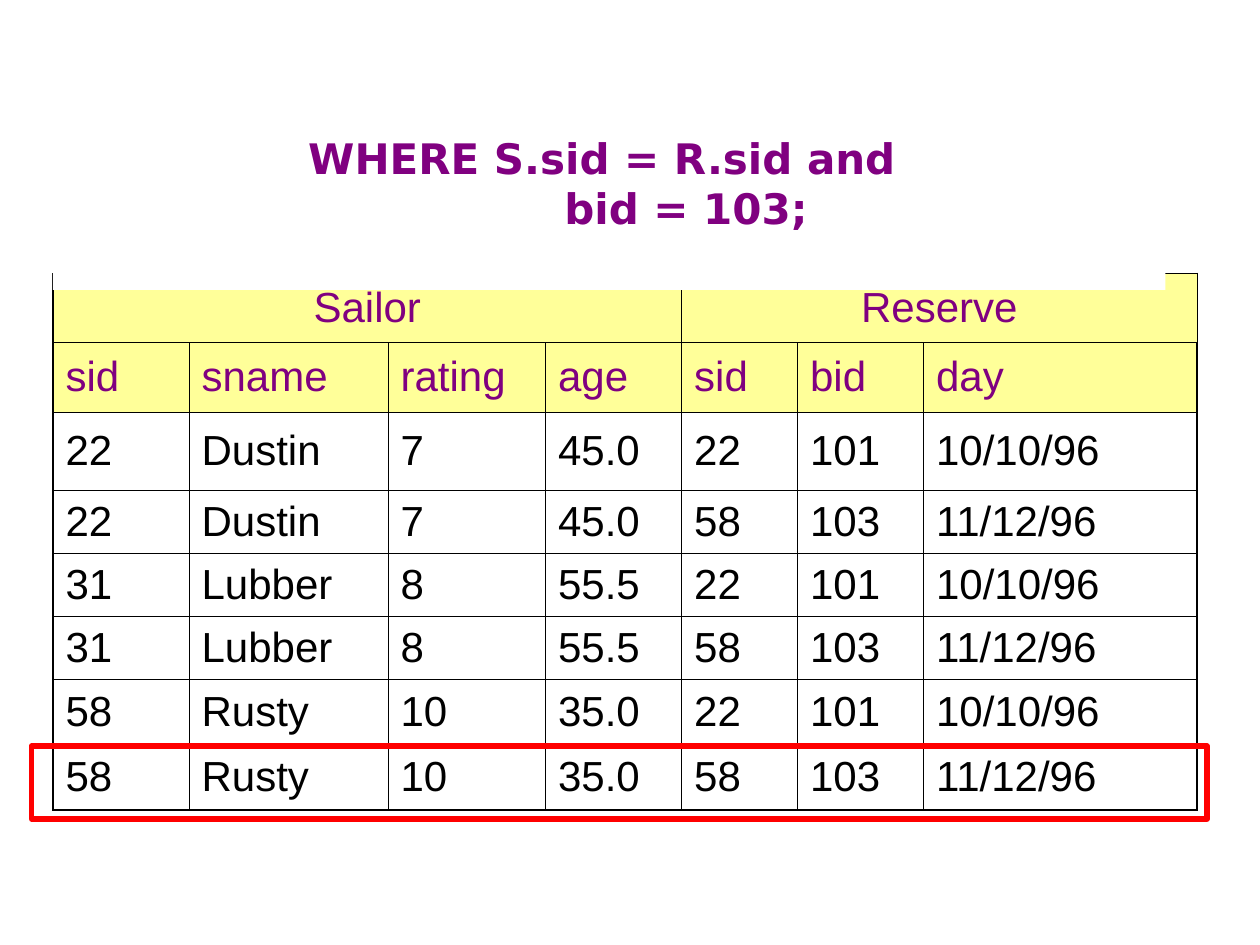
from lxml import etree
from pptx import Presentation
from pptx.dml.color import RGBColor
from pptx.enum.shapes import MSO_SHAPE
from pptx.enum.text import MSO_ANCHOR, MSO_AUTO_SIZE, PP_ALIGN
from pptx.oxml.ns import qn
from pptx.util import Inches, Pt

RECTANGLE = MSO_SHAPE.RECTANGLE
TOP, MIDDLE = MSO_ANCHOR.TOP, MSO_ANCHOR.MIDDLE
LEFT, CENTER = PP_ALIGN.LEFT, PP_ALIGN.CENTER
NO_AUTOFIT = MSO_AUTO_SIZE.NONE

PURPLE = RGBColor(0x80, 0x00, 0x80)
YELLOW = RGBColor(0xFF, 0xFF, 0x99)
RED = RGBColor(0xFF, 0x00, 0x00)
BLACK = RGBColor(0x00, 0x00, 0x00)
WHITE = RGBColor(0xFF, 0xFF, 0xFF)

THIN, THICK = Pt(0.45), Pt(1.08)
HEADER_ROWS = 2
COL_WIDTHS = [1.08, 1.58, 1.25, 1.08, 0.92, 1, 2.17]
ROW_HEIGHTS = [0.55, 0.55, 0.62, 0.5, 0.5, 0.5, 0.52, 0.52]

SAILORS = [("22", "Dustin", "7", "45.0"),
           ("31", "Lubber", "8", "55.5"),
           ("58", "Rusty", "10", "35.0")]
RESERVES = [("22", "101", "10/10/96"), ("58", "103", "11/12/96")]
ROWS = [("Sailor", "", "", "", "Reserve", "", ""),
        ("sid", "sname", "rating", "age", "sid", "bid", "day"),
        *(sailor + reserve for sailor in SAILORS for reserve in RESERVES)]
GROUPS = [(0, 3), (4, 6)]  # first and last column of each merged heading


class SlideBuilder:
    def __init__(self, prs):
        self.size = Pt(24)
        self.body_font = "Arial"
        self.title_font = "DejaVu Sans"
        self.s = prs.slides.add_slide(prs.slide_layouts[5])

    def style(self, p, name, color, align, bold=False):
        p.alignment = align
        p.font.name, p.font.size, p.font.bold = name, self.size, bold
        p.font.color.rgb = color

    def border(self, cell, side, width):
        ln = etree.SubElement(cell._tc.get_or_add_tcPr(), qn(f"a:ln{side}"), w=str(int(width)))
        fill = etree.SubElement(ln, qn("a:solidFill"))
        etree.SubElement(fill, qn("a:srgbClr"), val=str(BLACK))

    def table(self, x, y, rows, widths, heights):
        last_row, last_col = len(rows) - 1, len(widths) - 1
        frame = self.s.shapes.add_table(len(rows), len(widths), Inches(x), Inches(y),
                                        Inches(sum(widths)), Inches(sum(heights)))
        tbl = frame.table
        tbl.first_row = tbl.horz_banding = False
        for col, width in zip(tbl.columns, widths):
            col.width = Inches(width)
        for row, height in zip(tbl.rows, heights):
            row.height = Inches(height)
        for i, texts in enumerate(rows):
            for j, text in enumerate(texts):
                cell = tbl.cell(i, j)
                edges = {"L": j == 0, "R": j == last_col, "T": i == 0, "B": i == last_row}
                for side, outer in edges.items():
                    self.border(cell, side, THICK if outer else THIN)
                self.fill_cell(cell, text, i < HEADER_ROWS, CENTER if i == 0 else LEFT)
        for first, last in GROUPS:
            tbl.cell(0, first).merge(tbl.cell(0, last))

    def fill_cell(self, cell, text, header, align):
        if header:
            cell.fill.solid()
            cell.fill.fore_color.rgb = YELLOW
        else:
            cell.fill.background()
        cell.vertical_anchor = MIDDLE
        cell.text = text
        p = cell.text_frame.paragraphs[0]
        p.space_before = Pt(6)
        self.style(p, self.body_font, PURPLE if header else BLACK, align)

    def outline(self, x, y, w, h):
        sp = self.s.shapes.add_shape(RECTANGLE, Inches(x), Inches(y), Inches(w), Inches(h))
        sp.shadow.inherit = False
        sp.fill.background()
        sp.line.color.rgb = RED
        sp.line.width = Pt(3)

    def title(self, x, y, w, h, lines):
        """Place the title in front of the table; lines holds (text, indent) pairs."""
        sp = self.s.shapes.title
        self.s.shapes._spTree.append(sp._element)
        sp.left, sp.top, sp.width, sp.height = map(Inches, (x, y, w, h))
        sp.fill.solid()
        sp.fill.fore_color.rgb = WHITE
        tf = sp.text_frame
        tf.text = "\n".join(text for text, _ in lines)
        tf.word_wrap = True
        tf.auto_size = NO_AUTOFIT
        tf.vertical_anchor = TOP
        for p, (_, indent) in zip(tf.paragraphs, lines):
            p._p.get_or_add_pPr().set("marL", str(Inches(indent)))
            self.style(p, self.title_font, PURPLE, CENTER, bold=True)


def main():
    prs = Presentation()
    prs.slide_width, prs.slide_height = Inches(10), Inches(7.5)
    slide = SlideBuilder(prs)
    slide.table(0.42, 2.17, ROWS, COL_WIDTHS, ROW_HEIGHTS)
    slide.outline(0.25, 5.92, 9.33, 0.58)
    slide.title(0.42, 1, 8.83, 1.3, [("WHERE S.sid = R.sid and ", 0), ("bid = 103;", 1.22)])
    prs.save("out.pptx")


if __name__ == "__main__":
    main()
